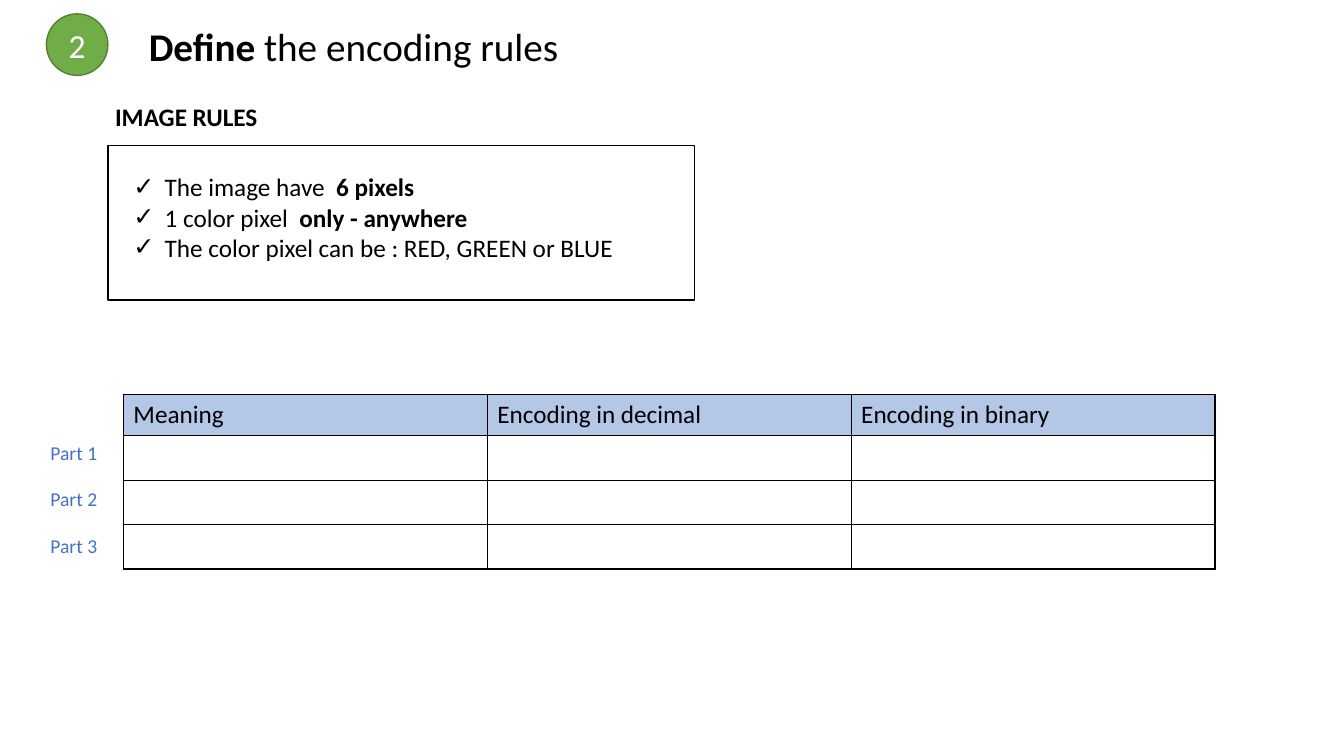
from lxml import etree
from pptx import Presentation
from pptx import util as u
from pptx.dml.color import RGBColor
from pptx.enum import shapes, text
from pptx.oxml.ns import qn

BLACK = RGBColor(0x00, 0x00, 0x00)
WHITE = RGBColor(0xFF, 0xFF, 0xFF)
GREEN = RGBColor(0x70, 0xAD, 0x47)
DARK_GREEN = RGBColor(0x53, 0x80, 0x35)
BLUE = RGBColor(0x44, 0x72, 0xC4)
PALE_BLUE = RGBColor(0xB4, 0xC7, 0xE7)

HEADINGS = ["Meaning", "Encoding in decimal", "Encoding in binary"]
PARTS = ["Part 1", "Part 2", "Part 3"]
RULES = [
    [("The image have  ", False), ("6 pixels", True)],
    [("1 color pixel  ", False), ("only - anywhere", True)],
    [("The color pixel can be : RED, GREEN or BLUE", False)],
]


def write(paragraph, words, size=18, color=BLACK, bold=False):
    run = paragraph.add_run()
    run.text = words
    run.font.name = "Calibri"
    run.font.size = u.Pt(size)
    run.font.color.rgb = color
    run.font.bold = bold


def add_check_mark(paragraph):
    props = paragraph._p.get_or_add_pPr()
    indent = u.Cm(0.79)
    props.set("marL", str(indent))
    props.set("indent", str(-indent))
    etree.SubElement(props, qn("a:buFont"), typeface="Calibri")
    etree.SubElement(props, qn("a:buChar"), char="✓")


def add_borders(cell):
    """Draw a 1 pt line on all four sides; lines must come before the fill."""
    props = cell._tc.get_or_add_tcPr()
    for index, side in enumerate(("a:lnL", "a:lnR", "a:lnT", "a:lnB")):
        line = etree.Element(qn(side), w=str(u.Pt(1)))
        fill = etree.SubElement(line, qn("a:solidFill"))
        etree.SubElement(fill, qn("a:srgbClr"), val=str(BLACK))
        props.insert(index, line)


class RulesSlide:
    def __init__(self, deck):
        self.slide = deck.slides.add_slide(deck.slide_layouts[6])

    def text_box(self, left, top, width, height, paragraphs, wrap=False,
                 checked=False, **style):
        """Each paragraph is a list of (words, bold) pairs."""
        box = self.slide.shapes.add_textbox(
            u.Cm(left), u.Cm(top), u.Cm(width), u.Cm(height))
        frame = box.text_frame
        frame.word_wrap = wrap
        frame.auto_size = text.MSO_AUTO_SIZE.SHAPE_TO_FIT_TEXT
        for index, runs in enumerate(paragraphs):
            paragraph = frame.add_paragraph() if index else frame.paragraphs[0]
            if checked:
                add_check_mark(paragraph)
            for words, bold in runs:
                write(paragraph, words, bold=bold, **style)

    def shape(self, kind, left, top, width, height, line, fill=None):
        shape = self.slide.shapes.add_shape(
            kind, u.Cm(left), u.Cm(top), u.Cm(width), u.Cm(height))
        shape.shadow.inherit = False
        shape.line.color.rgb = line
        shape.line.width = u.Pt(1)
        if fill is None:
            shape.fill.background()
        else:
            shape.fill.solid()
            shape.fill.fore_color.rgb = fill
        return shape

    def badge(self, left, top, size, number):
        circle = self.shape(shapes.MSO_SHAPE.OVAL, left, top, size, size,
                            DARK_GREEN, GREEN)
        frame = circle.text_frame
        frame.vertical_anchor = text.MSO_ANCHOR.MIDDLE
        frame.paragraphs[0].alignment = text.PP_ALIGN.CENTER
        write(frame.paragraphs[0], number, size=24, color=WHITE)

    def table(self, left, top, column_width, header_height, row_height,
              headings, blank_rows):
        height = header_height + blank_rows * row_height
        table = self.slide.shapes.add_table(
            blank_rows + 1, len(headings), u.Cm(left), u.Cm(top),
            u.Cm(column_width * len(headings)), u.Cm(height)).table
        table.first_row = table.horz_banding = False
        for index, row in enumerate(table.rows):
            row.height = u.Cm(row_height if index else header_height)
            for cell, heading in zip(row.cells, headings):
                if index:
                    cell.fill.background()
                else:
                    cell.fill.solid()
                    cell.fill.fore_color.rgb = PALE_BLUE
                    write(cell.text_frame.paragraphs[0], heading)
                add_borders(cell)


def main():
    deck = Presentation()
    deck.slide_width, deck.slide_height = u.Cm(33.87), u.Cm(19.05)
    page = RulesSlide(deck)
    page.table(3.11, 9.94, 9.17, 1.04, 1.12, HEADINGS, len(PARTS))
    for index, part in enumerate(PARTS):
        page.text_box(1.02, 10.98 + 1.17 * index, 1.7, 0.86,
                      [[(part, False)]], size=14, color=BLUE)
    page.text_box(3.5, 0.45, 11.43, 1.45,
                  [[("Define", True), (" the encoding rules", False)]],
                  wrap=True, size=28)
    page.badge(1.17, 0.35, 1.55, "2")
    page.text_box(3.11, 4.2, 12.75, 2.57, RULES, checked=True)
    page.text_box(2.65, 2.44, 4.14, 1.02, [[("IMAGE RULES", True)]])
    page.shape(shapes.MSO_SHAPE.RECTANGLE, 2.72, 3.67, 14.78, 3.89, BLACK)
    deck.save("out.pptx")


if __name__ == "__main__":
    main()
